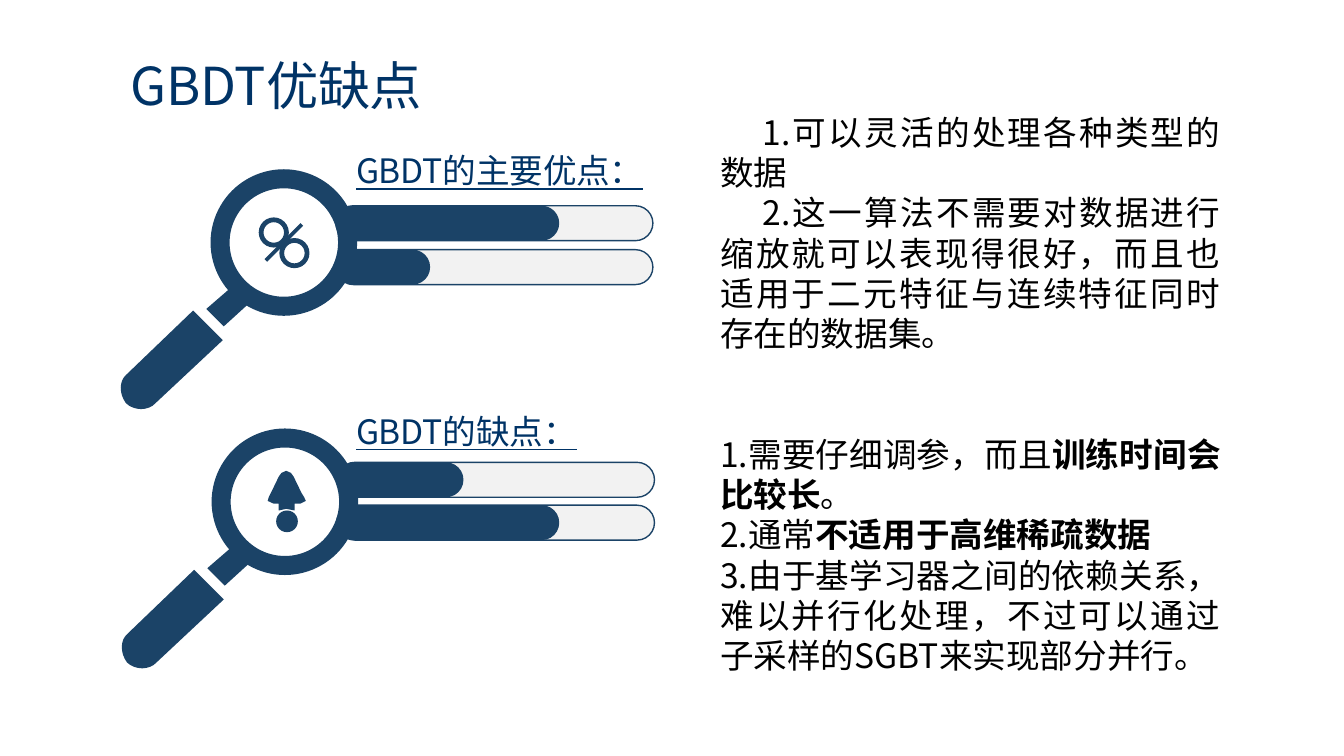
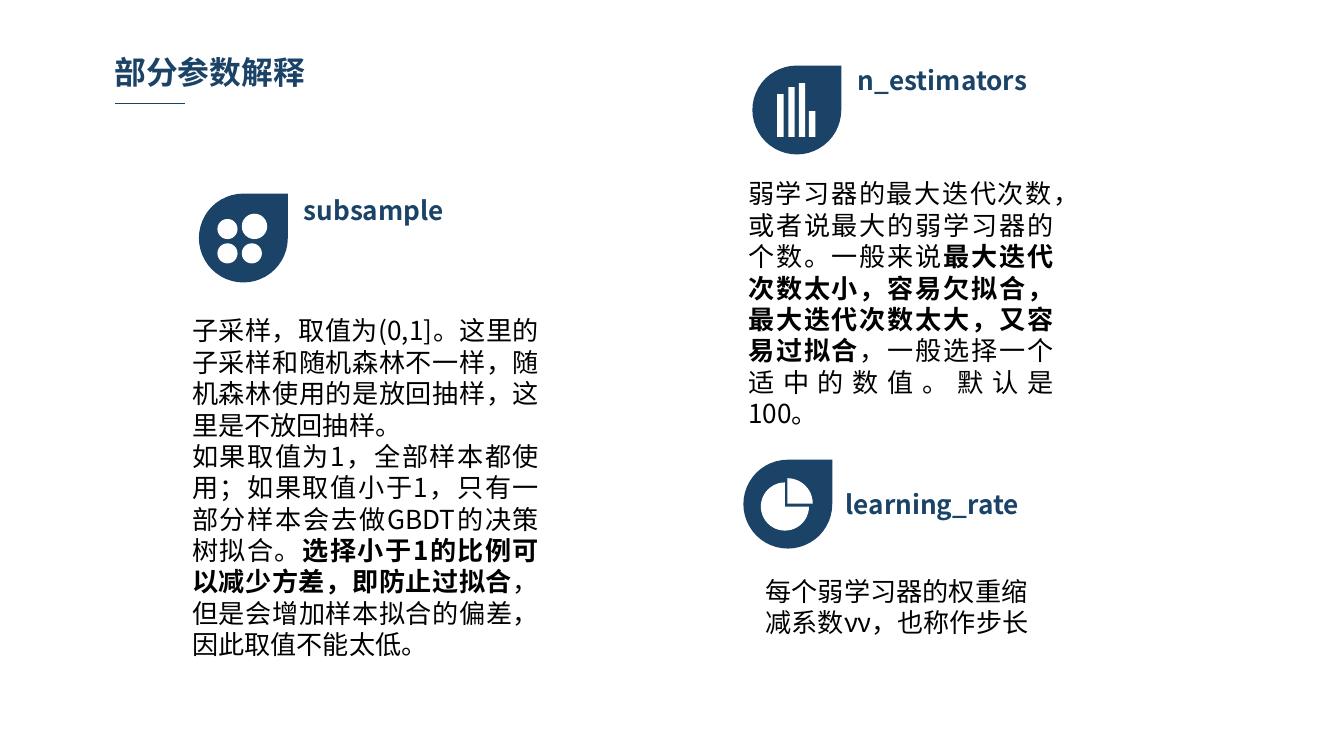
"""Builds two slides on the strengths, limits and parameters of GBDT."""
from lxml import etree
from pptx import Presentation
from pptx.dml.color import RGBColor
from pptx.enum.shapes import MSO_CONNECTOR, MSO_SHAPE
from pptx.enum.text import MSO_ANCHOR, MSO_AUTO_SIZE, PP_ALIGN
from pptx.oxml.ns import qn
from pptx.util import Cm, Pt

NAVY = RGBColor(0x1B, 0x43, 0x67)
TITLE_BLUE = RGBColor(0x00, 0x33, 0x66)
TRACK_GREY = RGBColor(0xF2, 0xF2, 0xF2)
WHITE = RGBColor(0xFF, 0xFF, 0xFF)
BLACK = RGBColor(0x00, 0x00, 0x00)
FONT = "Noto Sans CJK SC"

RECT, OVAL, PILL = MSO_SHAPE.RECTANGLE, MSO_SHAPE.OVAL, MSO_SHAPE.ROUNDED_RECTANGLE
RING, DROP = MSO_SHAPE.DONUT, MSO_SHAPE.TEAR
PIE, WEDGE = MSO_SHAPE.PIE, MSO_SHAPE.PIE_WEDGE
LEFT, JUSTIFY = PP_ALIGN.LEFT, PP_ALIGN.JUSTIFY
TIGHT, ROOMY = (0.18, 0.1), (0.25, 0.13)
TITLE_AND_LIST, TWO_LISTS = 1, 3
DROP_SIZE = 1.68

NECK = [(0.81, 2.46), (0.25, 2.97), (-0.08, 2.64), (0.51, 2.13)]
SLASH = [(1.75, 1.07), (1.07, 1.75), (1.02, 1.7), (1.7, 1.02)]
ARROW = [(1.7, 1.22), (1.55, 0.91), (1.5, 0.84), (1.41, 0.8), (1.32, 0.84), (1.27, 0.91),
         (1.12, 1.22), (1.08, 1.3), (1.06, 1.37), (1.17, 1.42), (1.27, 1.42), (1.27, 1.55),
         (1.41, 1.52), (1.57, 1.55), (1.57, 1.42), (1.68, 1.42), (1.78, 1.37), (1.75, 1.3)]


def curve(start, pull_a, pull_b, end, steps=8):
    """Return points along a cubic curve, ends included."""
    points = []
    for step in range(steps + 1):
        t = step / steps
        weights = ((1 - t) ** 3, 3 * t * (1 - t) ** 2, 3 * t * t * (1 - t), t ** 3)
        points.append(tuple(sum(w * p[axis] for w, p in zip(weights, (start, pull_a, pull_b, end)))
                            for axis in (0, 1)))
    return points


GRIP = [(-0.33, 2.67),
        *curve((-1.6, 3.89), (-1.73, 4.01), (-1.73, 4.24), (-1.6, 4.42)),
        *curve((-1.6, 4.42), (-1.45, 4.57), (-1.17, 4.57), (-1.04, 4.42)),
        (0.23, 3.23)]


class Deck:
    """Holds the shared style and the current slide."""

    def __init__(self):
        """Start an empty widescreen deck."""
        self.show = Presentation()
        self.show.slide_width, self.show.slide_height = Cm(25.4), Cm(14.29)
        self.slide = None

    def new_slide(self, layout):
        """Add a slide and make it current."""
        self.slide = self.show.slides.add_slide(self.show.slide_layouts[layout])

    def text(self, box, lines, size, color, slot=None, align=LEFT, inset=ROOMY, bold=None,
             underline=None, tracking=None, wrap=True, leading=1.0, before=0):
        """Write paragraphs, with ** around bold words, and return them."""
        box = [Cm(n) for n in box]
        if slot is None:
            host = self.slide.shapes.add_textbox(*box)
        else:
            host = self.slide.placeholders[slot]
            host.left, host.top, host.width, host.height = box
        frame = host.text_frame
        frame.word_wrap, frame.auto_size = wrap, MSO_AUTO_SIZE.NONE
        frame.vertical_anchor = MSO_ANCHOR.TOP
        frame.margin_left = frame.margin_right = Cm(inset[0])
        frame.margin_top = frame.margin_bottom = Cm(inset[1])
        for number, line in enumerate(lines):
            paragraph = frame.add_paragraph() if number else frame.paragraphs[0]
            paragraph.alignment, paragraph.line_spacing = align, leading
            paragraph.space_before = Pt(before)
            font = paragraph.font
            font.name, font.size, font.bold, font.underline = FONT, Pt(size), bold, underline
            font.color.rgb = color
            properties = paragraph._p.get_or_add_pPr()
            properties.set("marL", "0")
            properties.set("indent", "0")
            defaults = properties.find(qn("a:defRPr"))
            etree.SubElement(defaults, qn("a:ea")).set("typeface", FONT)
            if tracking is not None:
                defaults.set("spc", str(tracking))
            defaults.addprevious(etree.Element(qn("a:buNone")))
            for index, words in enumerate(line.split("**")):
                if words:
                    run = paragraph.add_run()
                    run.text = words
                    if index % 2:
                        run.font.bold = True
        return frame.paragraphs

    def paint(self, shape, fill, border=None):
        """Give a shape a flat fill and an optional thin border."""
        shape.shadow.inherit = False
        shape.fill.solid()
        shape.fill.fore_color.rgb = fill
        if border is None:
            shape.line.fill.background()
        else:
            shape.line.color.rgb, shape.line.width = border, Pt(0.75)

    def shape(self, kind, left, top, width, height, fill=NAVY, border=None, adjust=None, turn=0):
        """Add a preset shape."""
        shape = self.slide.shapes.add_shape(kind, Cm(left), Cm(top), Cm(width), Cm(height))
        if adjust is not None:
            shape.adjustments[0] = adjust
        shape.rotation = turn
        self.paint(shape, fill, border)

    def outline(self, points, left, top):
        """Add a closed outline placed from a left top corner."""
        corners = [(Cm(left + x), Cm(top + y)) for x, y in points]
        builder = self.slide.shapes.build_freeform(*corners[0])
        builder.add_line_segments(corners[1:], close=True)
        self.paint(builder.convert_to_shape(), NAVY)

    def rule(self, left, top, width):
        """Add a thin horizontal line."""
        line = self.slide.shapes.add_connector(
            MSO_CONNECTOR.STRAIGHT, Cm(left), Cm(top), Cm(left + width), Cm(top))
        line.line.color.rgb, line.line.width = NAVY, Pt(0.75)
        etree.SubElement(line._element.spPr, qn("a:effectLst"))

    def meter(self, left, top, filled):
        """Add a rounded bar that is partly filled."""
        self.shape(PILL, left, top, 5.99, 0.66, TRACK_GREY, NAVY, 0.5)
        self.shape(PILL, 6.35, top, filled, 0.66, adjust=0.5)

    def magnifier(self, left, top):
        """Add a magnifying glass."""
        self.outline(NECK, left, top)
        self.shape(RING, left, top, 2.77, 2.77, adjust=0.13)
        self.outline(GRIP, left, top)

    def parameter(self, drop, heading, name):
        """Add a parameter name beside its drop badge."""
        self.shape(DROP, *drop, DROP_SIZE, DROP_SIZE)
        self.text((*heading, 5.54, 0.79), [name], 14, NAVY, inset=TIGHT, bold=True,
                  leading=1.4, before=2.8)


def pros_and_cons(deck):
    """Build the slide on strengths and limits."""
    deck.new_slide(TITLE_AND_LIST)
    deck.text((2.29, 0.91, 6.27, 1.4), ["GBDT优缺点"], 28, TITLE_BLUE, slot=0, inset=TIGHT,
              tracking=-10)
    for left, top, filled in ((6.35, 3.89, 4.22), (6.35, 4.72, 1.78),
                              (6.38, 8.74, 2.41), (6.38, 9.55, 4.22)):
        deck.meter(left, top, filled)

    pros_left, pros_top = 3.98, 3.2
    deck.magnifier(pros_left, pros_top)
    for offset in (0.91, 1.3):
        deck.shape(RING, pros_left + offset, pros_top + offset, 0.57, 0.57, adjust=0.16)
    deck.outline(SLASH, pros_left, pros_top)

    cons_left, cons_top = 4, 8.1
    deck.magnifier(cons_left, cons_top)
    deck.outline(ARROW, cons_left, cons_top)
    deck.shape(OVAL, cons_left + 1.22, cons_top + 1.55, 0.41, 0.41)

    for top, width, caption in ((2.74, 5.94, "GBDT的主要优点："), (7.67, 4.67, "GBDT的缺点：")):
        deck.text((6.55, top, width, 0.97), [caption], 18, TITLE_BLUE, inset=TIGHT,
                  underline=True, tracking=-10, wrap=False)
    points = deck.text((13.36, 1.98, 9.96, 11.02), [
        "1.可以灵活的处理各种类型的数据",
        "2.这一算法不需要对数据进行缩放就可以表现得很好，而且也适用于二元特征与连续特征同时存在的数据集。",
        "1.需要仔细调参，而且**训练时间会比较长**。",
        "2.通常**不适用于高维稀疏数据**",
        "3.由于基学习器之间的依赖关系，难以并行化处理，不过可以通过子采样的SGBT来实现部分并行。",
    ], 18, BLACK, slot=1, align=JUSTIFY)
    for pro in points[:2]:
        pro._p.pPr.set("indent", str(Cm(0.8)))
    points[2].space_before = Pt(43)


def parameters(deck):
    """Build the slide on the main parameters."""
    deck.new_slide(TWO_LISTS)
    deck.text((1.98, 0.89, 6.27, 0.91), ["部分参数解释"], 17, NAVY, slot=0, inset=TIGHT, bold=True)
    deck.rule(2.18, 1.96, 1.32)

    deck.parameter((14.22, 1.24), (16.03, 0.89), "n_estimators")
    for left, height in ((14.69, 0.81), (14.9, 0.94), (15.1, 1.02), (15.29, 0.49)):
        deck.shape(RECT, left, 2.59 - height, 0.12, height, WHITE)
    deck.text((13.89, 3.23, 6.27, 4.45), [
        "弱学习器的最大迭代次数，或者说最大的弱学习器的个数。一般来说"
        "**最大迭代次数太小，容易欠拟合，最大迭代次数太大，又容易过拟合**"
        "，一般选择一个适中的数值。默认是100。",
    ], 14, BLACK, slot=2, align=JUSTIFY)

    deck.parameter((14.05, 8.69), (15.8, 8.89), "learning_rate")
    deck.shape(PIE, 14.38, 9.12, 0.91, 0.91, WHITE)
    deck.shape(WEDGE, 14.88, 9.04, 0.48, 0.48, WHITE, turn=90)
    deck.text((14.22, 10.74, 5.69, 1.45), ["每个弱学习器的权重缩减系数νν，也称作步长"], 14, BLACK)

    deck.parameter((3.76, 3.66), (5.56, 3.33), "subsample")
    for left, top, size in ((4.11, 4.14, 0.38), (4.57, 4.04, 0.48),
                            (4.11, 4.6, 0.38), (4.57, 4.6, 0.38)):
        deck.shape(OVAL, left, top, size, size, WHITE)
    deck.text((3.38, 5.82, 7.06, 6.83), [
        "子采样，取值为(0,1]。这里的子采样和随机森林不一样，随机森林使用的是放回抽样，这里是不放回抽样。",
        "如果取值为1，全部样本都使用；如果取值小于1，只有一部分样本会去做GBDT的决策树拟合。"
        "**选择小于1的比例可以减少方差，即防止过拟合**，但是会增加样本拟合的偏差，因此取值不能太低。",
    ], 14, BLACK, slot=1, align=JUSTIFY)


def main():
    """Build and save the deck."""
    deck = Deck()
    pros_and_cons(deck)
    parameters(deck)
    deck.show.save("out.pptx")


if __name__ == "__main__":
    main()
